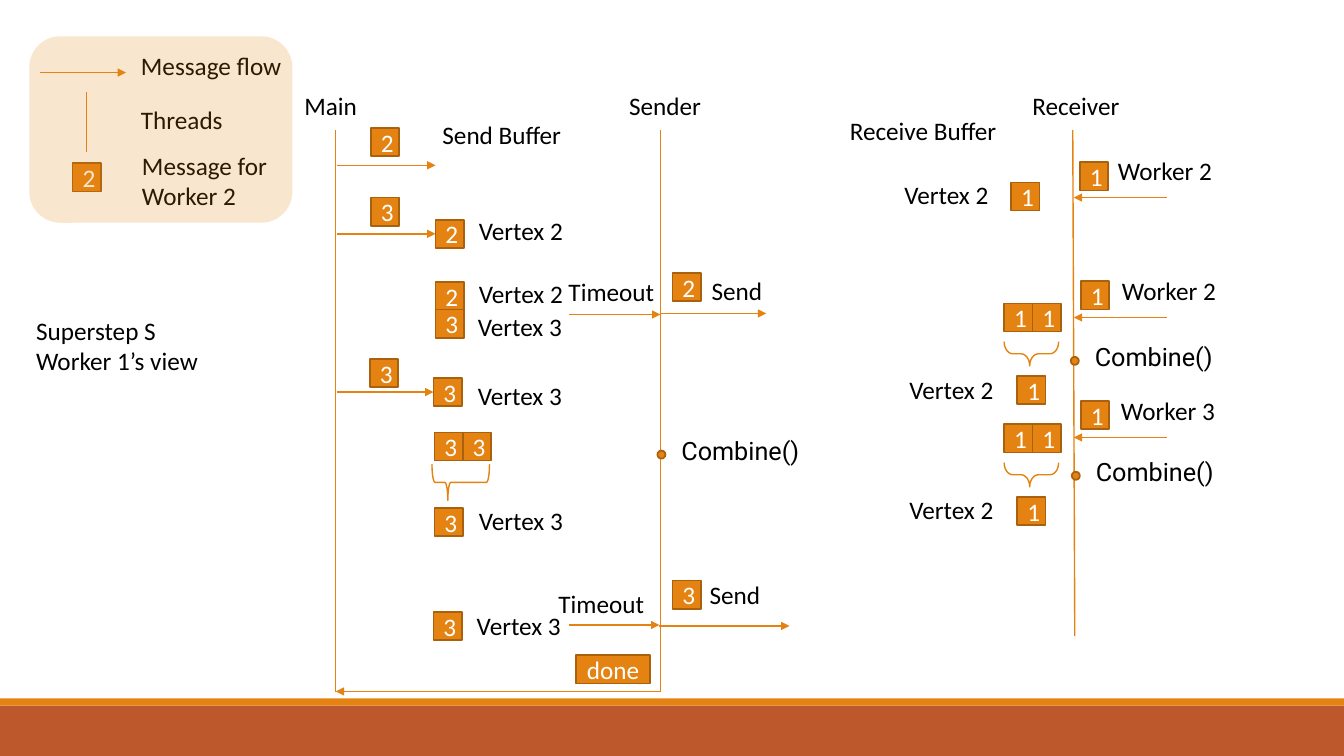
from lxml import etree
from pptx import Presentation
from pptx.dml.color import RGBColor
from pptx.enum.shapes import MSO_CONNECTOR, MSO_SHAPE
from pptx.enum.text import MSO_ANCHOR, MSO_AUTO_SIZE, PP_ALIGN
from pptx.oxml.ns import qn
from pptx.util import Inches, Pt

THEME = {
    "orange": RGBColor.from_string("E48312"),
    "edge": RGBColor.from_string("A9610D"),
    "rust": RGBColor.from_string("BD582C"),
    "black": RGBColor.from_string("000000"),
    "white": RGBColor.from_string("FFFFFF"),
    "font": "Calibri",
    "code_font": "Roboto",
    "size": Pt(18),
    "line": Pt(1),
    "edge_line": Pt(1.25),
}
BOX = 0.28
DOT = 0.08


def add_figure(shapes, kind, x, y, w, h, fill=None, edge=None, text=""):
    """Add a preset shape with optional fill, outline and centred white text."""
    sp = shapes.add_shape(kind, Inches(x), Inches(y), Inches(w), Inches(h))
    sp.shadow.inherit = False
    if fill is None:
        sp.fill.background()
    else:
        sp.fill.solid()
        sp.fill.fore_color.rgb = fill
    if edge is None:
        sp.line.fill.background()
    else:
        sp.line.color.rgb = edge
        sp.line.width = THEME["edge_line"]
    if text:
        tf = sp.text_frame
        tf.text = text
        tf.vertical_anchor = MSO_ANCHOR.MIDDLE
        p = tf.paragraphs[0]
        p.alignment = PP_ALIGN.CENTER
        p.font.size = THEME["size"]
        r = p.runs[0]
        r.font.size, r.font.name = THEME["size"], THEME["font"]
        r.font.color.rgb = THEME["white"]
    return sp


def add_label(shapes, x, y, w, text, h=0.4):
    """Add a text box; function calls are set in the code font."""
    sp = shapes.add_textbox(Inches(x), Inches(y), Inches(w), Inches(h))
    tf = sp.text_frame
    tf.word_wrap = True
    tf.auto_size = MSO_AUTO_SIZE.SHAPE_TO_FIT_TEXT
    tf.text = text
    for p in tf.paragraphs:
        for r in p.runs:
            r.font.size = THEME["size"]
            r.font.name = THEME["code_font" if text.endswith("()") else "font"]
            r.font.color.rgb = THEME["black"]


prs = Presentation()
prs.slide_width, prs.slide_height = Inches(13.33), Inches(7.5)
s = prs.slides.add_slide(prs.slide_layouts[6])
main = s.shapes

# Footer bands
add_figure(main, MSO_SHAPE.RECTANGLE, 0, 7, 13.33, 0.5, THEME["rust"])
add_figure(main, MSO_SHAPE.RECTANGLE, 0, 6.93, 13.33, 0.07, THEME["orange"])

# Thread lines and message arrows: parent, x1, y1, x2, y2, has arrowhead
legend = main.add_group_shape().shapes
lines = [
    (main, 3.33, 1.29, 3.33, 6.87, False),
    (main, 6.55, 1.29, 6.55, 6.87, False),
    (main, 10.64, 1.29, 10.66, 6.31, False),
    (main, 3.34, 1.64, 4.32, 1.64, True),
    (main, 3.34, 2.32, 4.32, 2.32, True),
    (main, 3.34, 3.89, 4.3, 3.89, True),
    (main, 5.64, 3.12, 6.55, 3.12, True),
    (main, 6.56, 3.11, 7.6, 3.11, True),
    (main, 5.64, 6.2, 6.54, 6.2, True),
    (main, 6.54, 6.21, 7.83, 6.21, True),
    (main, 6.56, 6.86, 3.33, 6.86, True),
    (legend, 0.86, 0.91, 0.86, 1.51, False),
    (legend, 0.4, 0.72, 1.25, 0.72, True),
]
lines += [(main, 11.57, y, 10.65, y, True) for y in (1.96, 3.15, 4.34)]
for shapes, x1, y1, x2, y2, has_head in lines:
    line = shapes.add_connector(
        MSO_CONNECTOR.STRAIGHT, Inches(x1), Inches(y1), Inches(x2), Inches(y2))
    line.line.color.rgb = THEME["orange"]
    line.line.width = THEME["line"]
    if has_head:
        ln = line.line._get_or_add_ln()
        etree.SubElement(ln, qn("a:tailEnd"), type="triangle")
    etree.SubElement(line._element.spPr, qn("a:effectLst"))

# Message boxes, marked with the worker they are for
messages = [
    (main, "1", [(10.71, 1.61), (10.03, 1.81), (10.72, 2.79), (10.72, 3.98)]),
    (main, "2", [(3.68, 1.27), (4.32, 2.18), (4.32, 2.8), (6.67, 2.71)]),
    (main, "3", [(3.68, 1.96), (4.32, 3.07), (3.67, 3.56), (4.3, 3.75),
                 (4.59, 4.29), (4.31, 4.29), (4.31, 5.04), (6.67, 5.76),
                 (4.3, 6.07)]),
    (legend, "2", [(0.72, 1.62)]),
]
for top in (3.01, 4.21):
    messages.append((main, "1", [(10.24, top), (9.96, top), (10.09, top + 0.72)]))
for shapes, worker, places in messages:
    for x, y in places:
        add_figure(shapes, MSO_SHAPE.RECTANGLE, x, y, BOX, BOX,
                   THEME["orange"], THEME["edge"], worker)
add_figure(main, MSO_SHAPE.RECTANGLE, 5.71, 6.5, 0.74, BOX,
           THEME["orange"], THEME["edge"], "done")

# Combine steps: dot and call on the thread, brace under the merged boxes
for x, y in [(6.52, 4.47), (10.62, 3.54), (10.63, 4.68)]:
    add_figure(main, MSO_SHAPE.OVAL, x, y, DOT, DOT, THEME["orange"], THEME["edge"])
    add_label(main, x + 0.14, y - 0.2, 1.45, "Combine()")
braces = [
    (4.39, 4.5, 0.36, 0.57, 0.083, 0.275),
    (10.11, 3.24, 0.24, 0.54, 0.357, 0.469),
    (10.11, 4.44, 0.24, 0.54, 0.357, 0.469),
]
for x, y, w, h, curl, tip in braces:
    brace = add_figure(main, MSO_SHAPE.LEFT_BRACE, x, y, w, h, edge=THEME["orange"])
    brace.line.width = THEME["line"]
    brace.rotation = 270
    brace.adjustments[0], brace.adjustments[1] = curl, tip

# Labels: text, width, places
labels = [
    ("Main", 0.78, [(2.92, 0.85)]),
    ("Sender", 0.92, [(6.14, 0.85)]),
    ("Receiver", 1.12, [(10.14, 0.85)]),
    ("Send Buffer", 1.44, [(4.29, 1.13)]),
    ("Receive Buffer", 1.71, [(8.33, 1.09)]),
    ("Worker 2", 1.2, [(10.99, 1.49), (11.03, 2.68)]),
    ("Worker 3", 1.2, [(11.02, 3.87)]),
    ("Send", 0.78, [(6.96, 2.68), (6.94, 5.7)]),
    ("Timeout", 1.13, [(5.54, 2.69), (5.44, 5.79)]),
    ("Vertex 2", 1.08, [(4.65, 2.09), (4.65, 2.71), (8.87, 1.73),
                        (8.92, 3.66), (8.92, 4.85)]),
    ("Vertex 3", 1.08, [(4.64, 3.04), (4.64, 3.72), (4.65, 4.96), (4.63, 6.01)]),
]
for text, width, places in labels:
    for x, y in places:
        add_label(main, x, y, width, text)
add_label(main, 0.26, 3.08, 1.88, "Superstep S\nWorker 1’s view", 0.71)

# Legend text under a translucent panel
add_label(legend, 1.3, 0.45, 1.66, "Message flow")
add_label(legend, 1.3, 0.99, 1.2, "Threads")
add_label(legend, 1.31, 1.44, 1.48, "Message for Worker 2", 0.71)
panel = add_figure(legend, MSO_SHAPE.ROUNDED_RECTANGLE, 0.29, 0.36, 2.61, 1.85,
                   THEME["orange"])
color = panel._element.spPr.find(qn("a:solidFill")).find(qn("a:srgbClr"))
etree.SubElement(color, qn("a:alpha"), val="20000")

prs.save("out.pptx")
